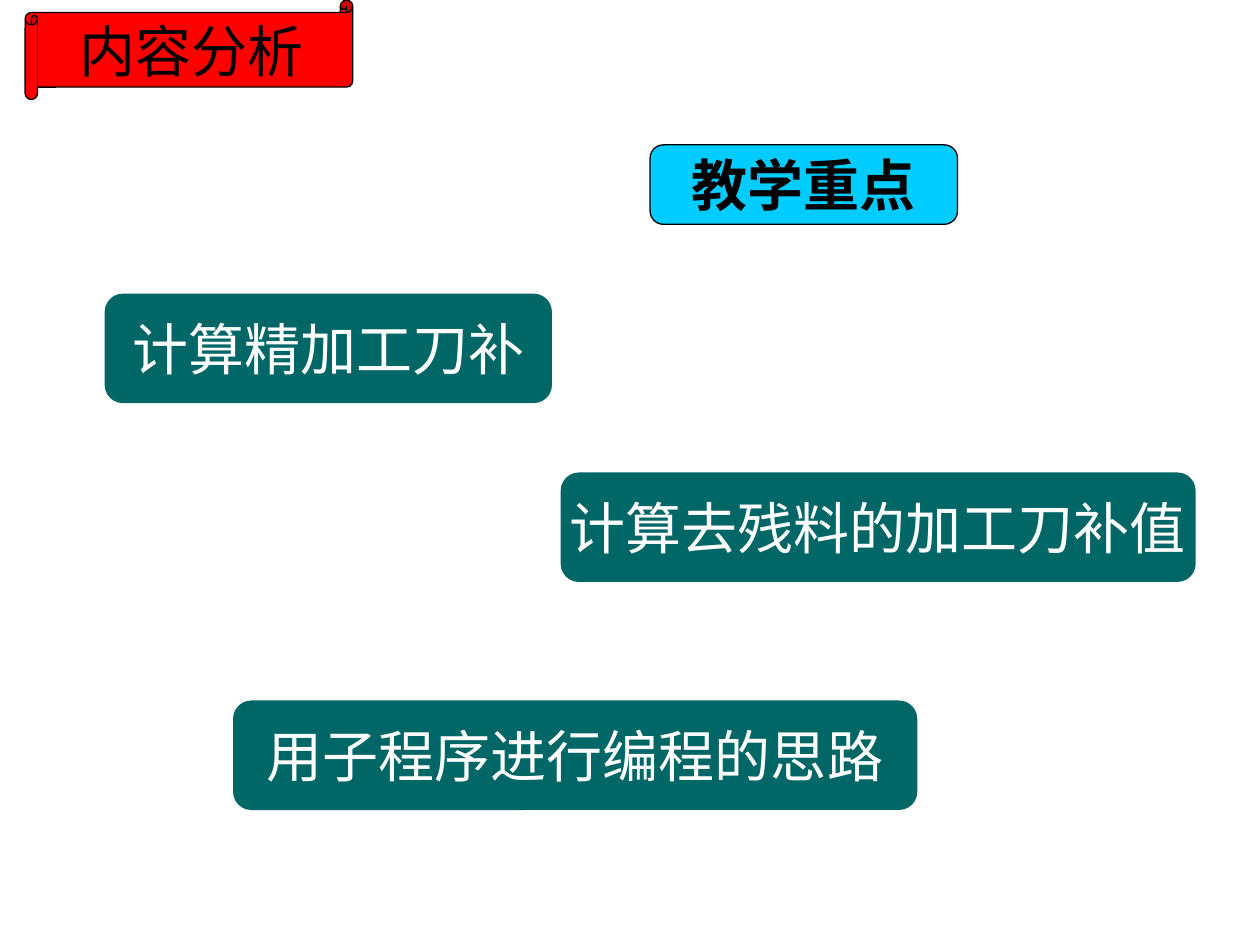
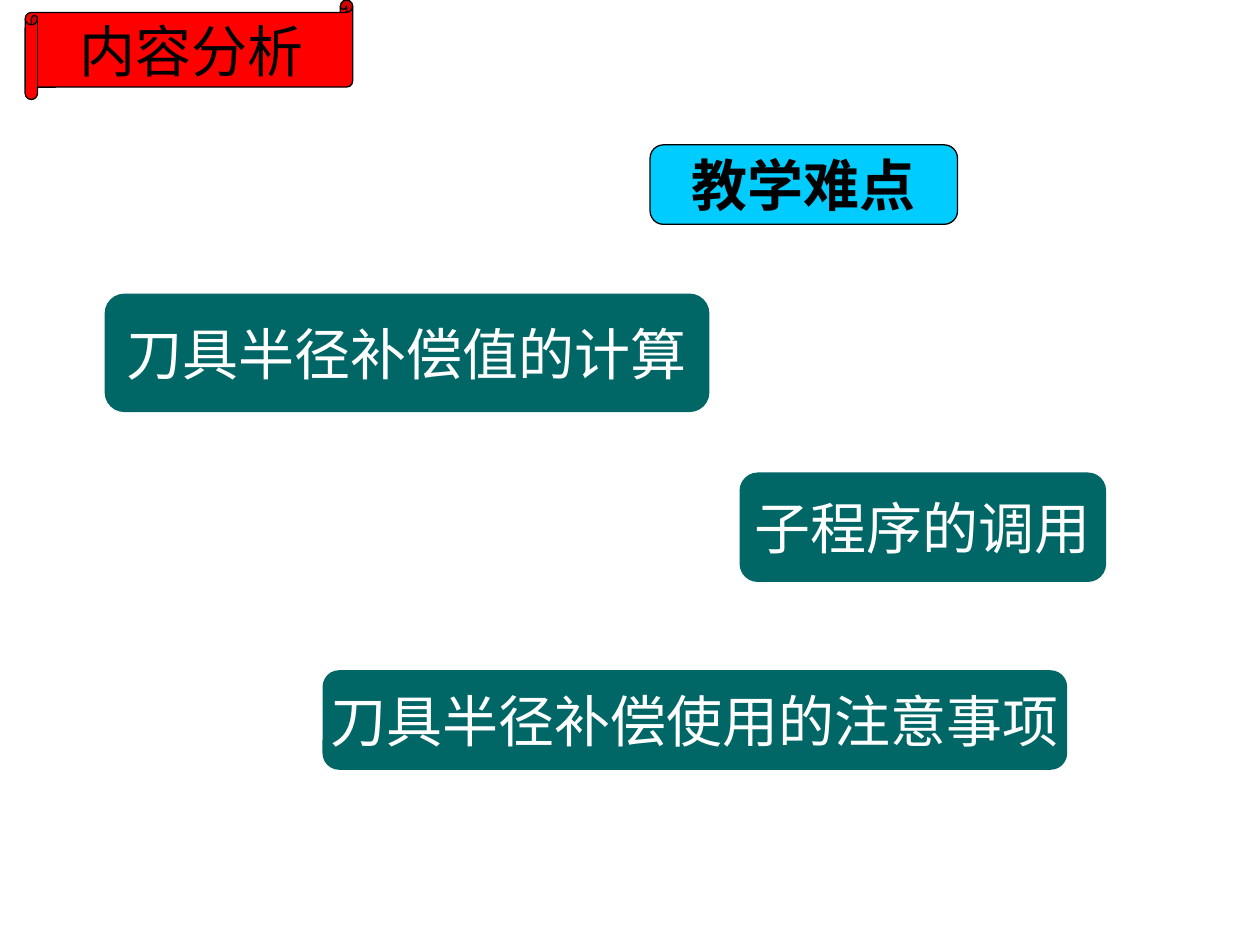
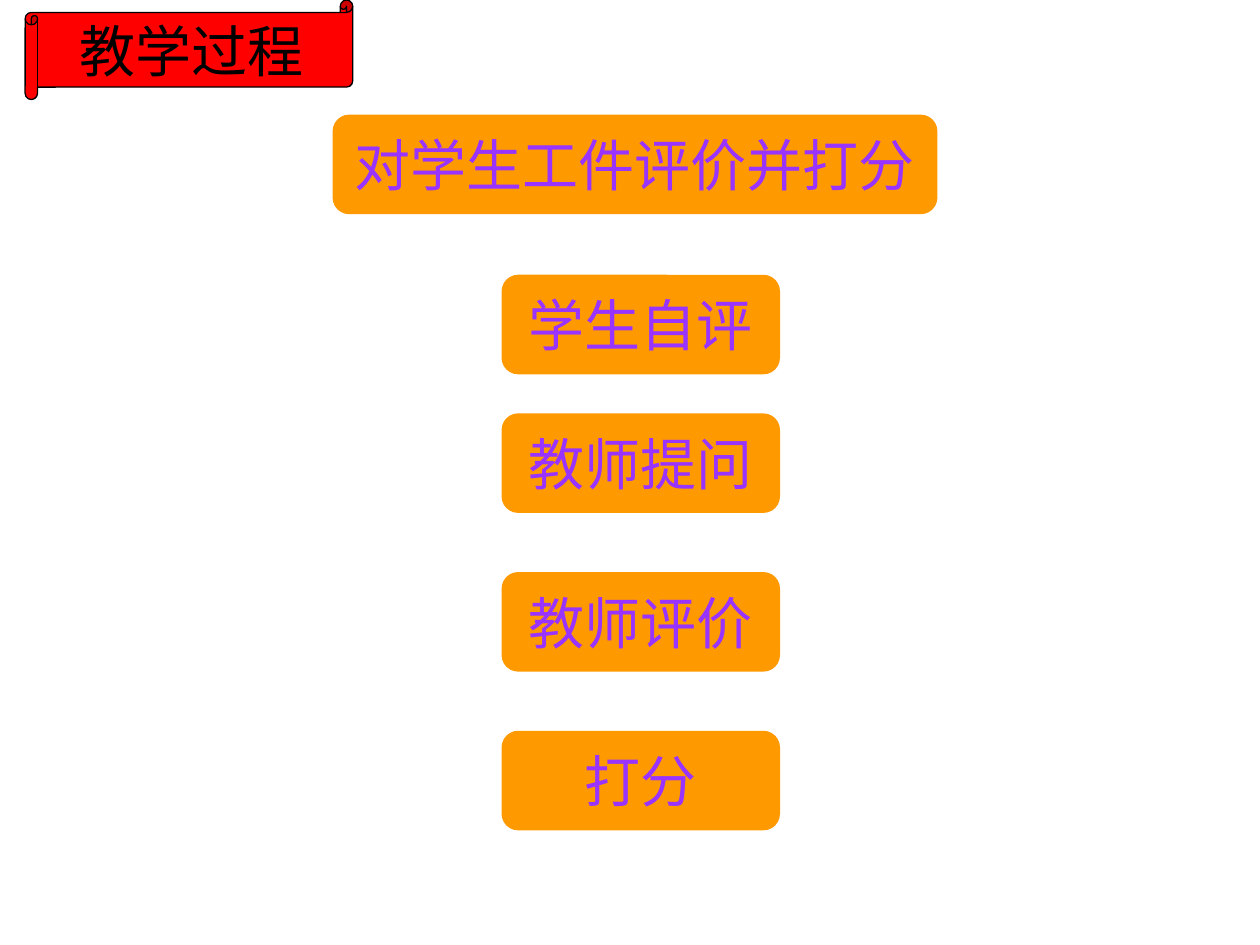
from pptx import Presentation
from pptx.dml.color import RGBColor
from pptx.enum.shapes import MSO_SHAPE
from pptx.enum.text import MSO_ANCHOR, PP_ALIGN
from pptx.util import Pt

SCROLL = MSO_SHAPE.HORIZONTAL_SCROLL
ROUNDED = MSO_SHAPE.ROUNDED_RECTANGLE
CENTER = PP_ALIGN.CENTER
MIDDLE = MSO_ANCHOR.MIDDLE

COLORS = {
    "red": "FF0000",
    "cyan": "00CCFF",
    "teal": "006666",
    "orange": "FF9900",
    "purple": "9933FF",
    "black": "000000",
    "white": "FFFFFF",
}


def rgb(name):
    return RGBColor.from_string(COLORS[name])


def write_text(tf, text, color="black", size=32, bold=False, font="Arial"):
    tf.word_wrap = False
    tf.vertical_anchor = MIDDLE
    p = tf.paragraphs[0]
    p.alignment = CENTER
    r = p.add_run()
    r.text = text
    r.font.name = font
    r.font.size = Pt(size)
    r.font.bold = bold
    r.font.color.rgb = rgb(color)


class Deck:
    def __init__(self):
        self.prs = Presentation()
        self.prs.slide_width, self.prs.slide_height = Pt(720), Pt(540)
        self.s = None

    def slide(self, title):
        self.s = self.prs.slides.add_slide(self.prs.slide_layouts[6])
        self.banner(title)

    def shape(self, kind, box, fill, text, outline=None, **fmt):
        sp = self.s.shapes.add_shape(kind, *map(Pt, box))
        sp.shadow.inherit = False
        sp.fill.solid()
        sp.fill.fore_color.rgb = rgb(fill)
        if outline:
            sp.line.color.rgb = rgb(outline)
            sp.line.width = Pt(0.75)
        else:
            sp.line.fill.background()
        write_text(sp.text_frame, text, **fmt)

    def banner(self, text):
        self.shape(SCROLL, (14.4, 0, 187.2, 56.9), "red", text, outline="black")

    def heading(self, text):
        self.shape(ROUNDED, (371.5, 82.8, 175.7, 45.4), "cyan", text,
                   outline="black", bold=True)

    def point(self, text, *box):
        self.shape(ROUNDED, box, "teal", text, color="white")

    def step(self, text, left, top, width):
        self.shape(ROUNDED, (left, top, width, 56.9), "orange", text, color="purple")


def main():
    deck = Deck()

    # Key points
    deck.slide("内容分析")
    deck.heading("教学重点")
    deck.point("计算精加工刀补", 59.8, 167.8, 255.6, 62.6)
    deck.point("计算去残料的加工刀补值", 320.4, 270, 362.9, 62.6)
    deck.point("用子程序进行编程的思路", 133.2, 400.3, 391, 62.6)

    # Difficult points
    deck.slide("内容分析")
    deck.heading("教学难点")
    deck.point("刀具半径补偿值的计算", 59.8, 167.8, 345.6, 67.7)
    deck.point("子程序的调用", 422.6, 270, 209.5, 62.6)
    deck.point("刀具半径补偿使用的注意事项", 184.3, 383, 425.5, 56.9)

    # Evaluation steps
    deck.slide("教学过程")
    deck.step("对学生工件评价并打分", 190.1, 65.5, 345.6)
    steps = {"学生自评": 157, "教师提问": 236.2, "教师评价": 326.9, "打分": 417.6}
    for text, top in steps.items():
        deck.step(text, 286.6, top, 159.1)

    deck.prs.save("out.pptx")


if __name__ == "__main__":
    main()
